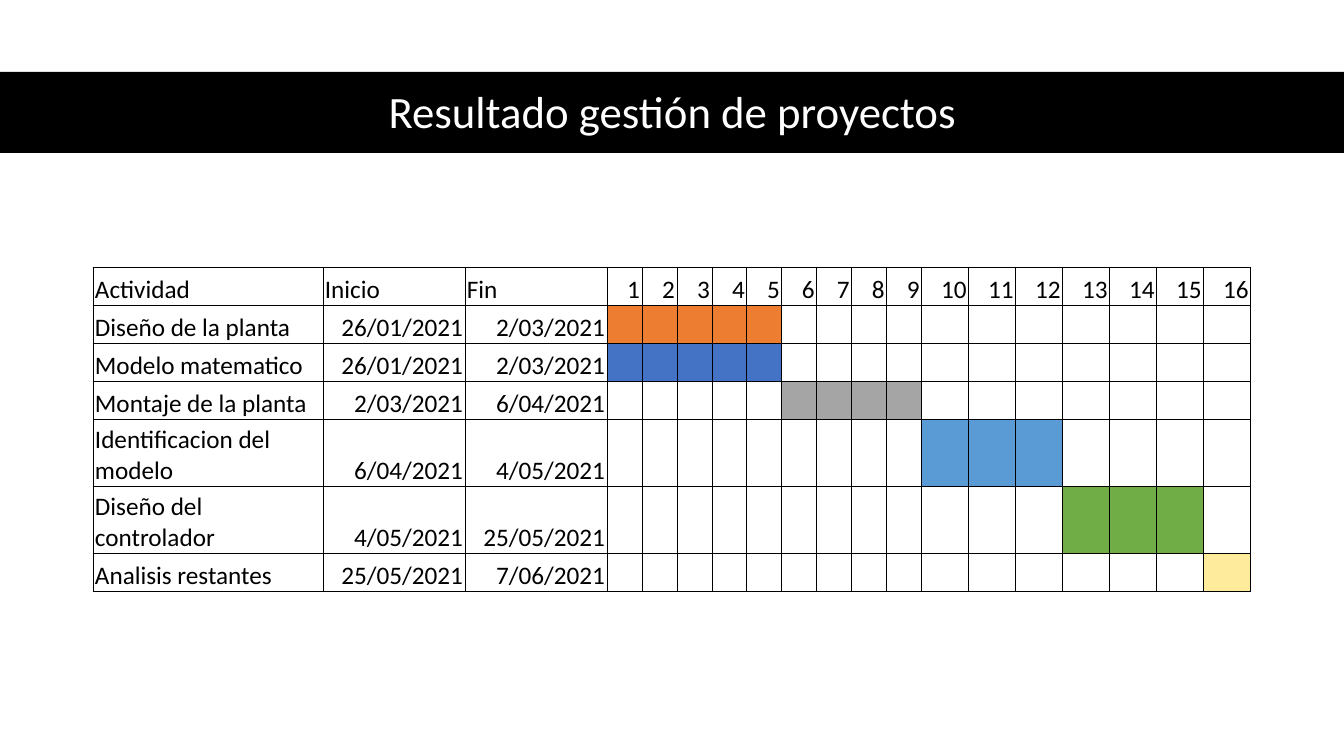
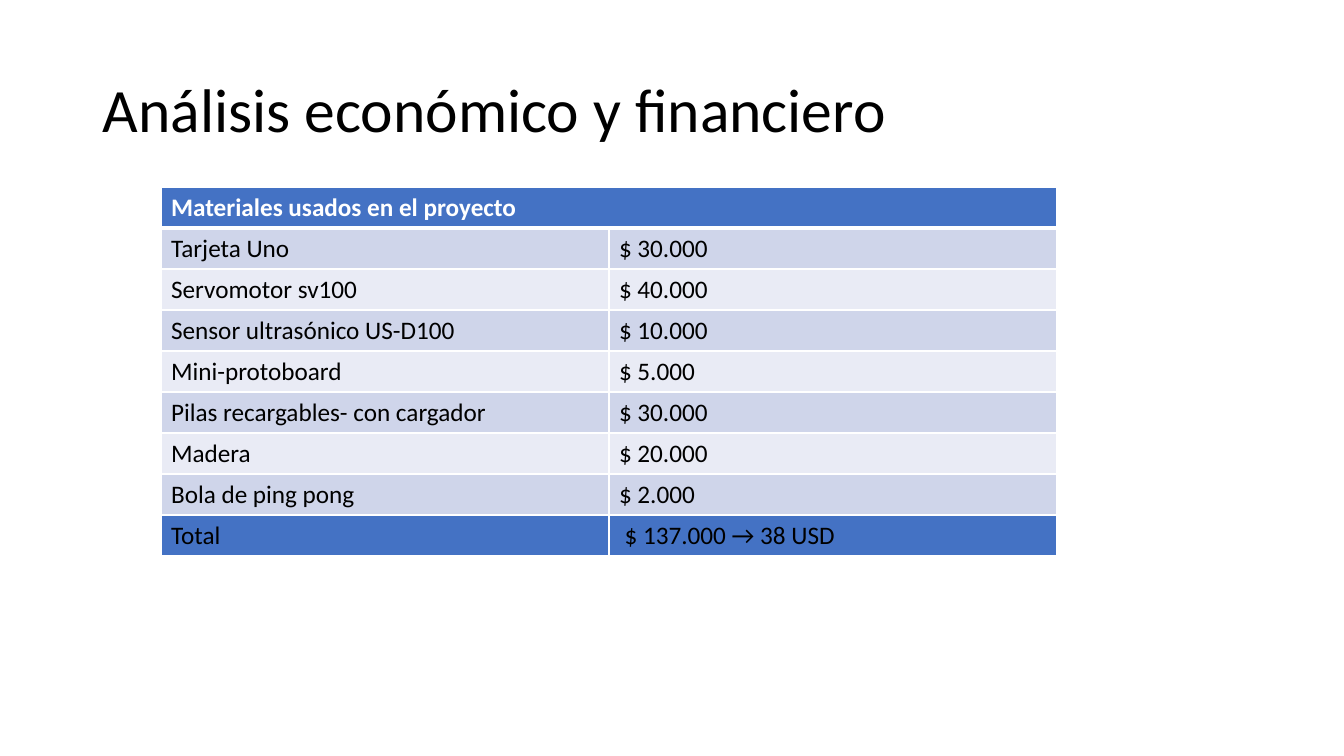
import pptx
import pptx.util
import pptx.dml.color
import pptx.enum.shapes
import pptx.enum.text
import pptx.oxml
from pptx.oxml.ns import nsdecls

PX = 914400 / 100.8
FONT = "Calibri"
BLACK, WHITE, BLUE = "000000", "FFFFFF", "4472C4"
LIGHT, PALE = "CFD5EA", "E9EBF5"
ANCHOR = pptx.enum.text.MSO_ANCHOR
ALIGN = pptx.enum.text.PP_ALIGN


def px(*values):
    return [pptx.util.Emu(round(v * PX)) for v in values]


def rgb(value):
    return pptx.dml.color.RGBColor.from_string(value)


def write(tf, text, size=18, color=BLACK, bold=False, align=ALIGN.LEFT, spacing=None):
    tf.word_wrap = True
    p = tf.paragraphs[0]
    p.alignment = align
    p.line_spacing = spacing
    p.font.size = pptx.util.Pt(size)
    r = p.add_run()
    r.text = text
    r.font.name = FONT
    r.font.size = pptx.util.Pt(size)
    r.font.bold = bold
    r.font.color.rgb = rgb(color)


def add_title(s, box, text, **fmt):
    tf = s.shapes.add_textbox(*px(*box)).text_frame
    tf.vertical_anchor = ANCHOR.MIDDLE
    write(tf, text, spacing=0.9, **fmt)


def add_grid(s, left, top, widths, heights):
    """Add a table with the given column widths and row heights, free of banding."""
    box = px(left, top, sum(widths), sum(heights))
    table = s.shapes.add_table(len(heights), len(widths), *box).table
    table.first_row = table.horz_banding = False
    for col, width in zip(table.columns, px(*widths)):
        col.width = width
    for row, height in zip(table.rows, px(*heights)):
        row.height = height
    return table


def style_cell(cell, fill, line, width, **side_widths):
    """Set fill and borders; side_widths (L, R, T, B) override the common width in points."""
    tcPr = cell._tc.get_or_add_tcPr()
    for side in "LRTB":
        w = pptx.util.Pt(side_widths.get(side, width))
        tcPr.append(pptx.oxml.parse_xml(
            f'<a:ln{side} {nsdecls("a")} w="{w}"><a:solidFill>'
            f'<a:srgbClr val="{line}"/></a:solidFill></a:ln{side}>'))
    if fill:
        cell.fill.solid()
        cell.fill.fore_color.rgb = rgb(fill)
    else:
        cell.fill.background()


prs = pptx.Presentation()
prs.slide_width, prs.slide_height = px(1344, 756)
blank = prs.slide_layouts[6]

# Project schedule
s = prs.slides.add_slide(blank)
band = s.shapes.add_shape(pptx.enum.shapes.MSO_SHAPE.RECTANGLE, *px(0, 72, 1344, 81))
band.shadow.inherit = False
band.fill.solid()
band.fill.fore_color.rgb = rgb(BLACK)
band.line.fill.background()
add_title(s, (93, 75, 1159, 78), "Resultado gestión de proyectos",
          size=32, color=WHITE, align=ALIGN.CENTER)

# name, start, end, first week, last week, bar colour
activities = [
    ("Diseño de la planta", "26/01/2021", "2/03/2021", 1, 5, "ED7D31"),
    ("Modelo matematico", "26/01/2021", "2/03/2021", 1, 5, BLUE),
    ("Montaje de la planta", "2/03/2021", "6/04/2021", 6, 9, "A5A5A5"),
    ("Identificacion del modelo", "6/04/2021", "4/05/2021", 10, 12, "5B9BD5"),
    ("Diseño del controlador", "4/05/2021", "25/05/2021", 13, 15, "70AD47"),
    ("Analisis restantes", "25/05/2021", "7/06/2021", 16, 16, "FFEB9C"),
]
weeks = range(1, 17)
week_widths = [35 if week < 10 else 47 for week in weeks]
schedule = add_grid(s, 93, 267, [230, 142, 142] + week_widths,
                    [38, 38, 38, 38, 67, 67, 38])
rows = [["Actividad", "Inicio", "Fin", *map(str, weeks)]]
rows += [list(activity[:3]) + [""] * len(weeks) for activity in activities]
for i, row in enumerate(rows):
    for j, text in enumerate(row):
        cell = schedule.cell(i, j)
        fill = None
        if i > 0:
            first, last, color = activities[i - 1][3:]
            fill = color if first <= j - 2 <= last else None
        style_cell(cell, fill, BLACK, 0.5)
        cell.vertical_anchor = ANCHOR.BOTTOM
        cell.margin_left, cell.margin_right, cell.margin_top, cell.margin_bottom = px(2, 2, 2, 0)
        if text:
            left = j == 0 or (i == 0 and j < 3)
            write(cell.text_frame, text, align=ALIGN.LEFT if left else ALIGN.RIGHT)

# Material costs
s = prs.slides.add_slide(blank)
add_title(s, (93, 40, 1159, 146), "Análisis económico y financiero", size=44)

costs = [
    ("Materiales usados en el proyecto", ""),
    ("Tarjeta Uno", "$ 30.000"),
    ("Servomotor sv100", "$ 40.000"),
    ("Sensor ultrasónico US-D100", "$ 10.000"),
    ("Mini-protoboard", "$ 5.000"),
    ("Pilas recargables- con cargador", "$ 30.000"),
    ("Madera", "$ 20.000"),
    ("Bola de ping pong", "$ 2.000"),
    ("Total", " $ 137.000 → 38 USD"),
]
materials = add_grid(s, 161, 187, [448] * 2, [41] * len(costs))
materials.cell(0, 0).merge(materials.cell(0, 1))
for i, row in enumerate(costs):
    header = i == 0
    fill = BLUE if i in (0, len(costs) - 1) else LIGHT if i % 2 else PALE
    for j, text in enumerate(row):
        cell = materials.cell(i, j)
        style_cell(cell, fill, WHITE, 1, B=3 if header else 1, T=3 if i == 1 else 1)
        if text:
            write(cell.text_frame, text, color=WHITE if header else BLACK, bold=header)

prs.save("out.pptx")
